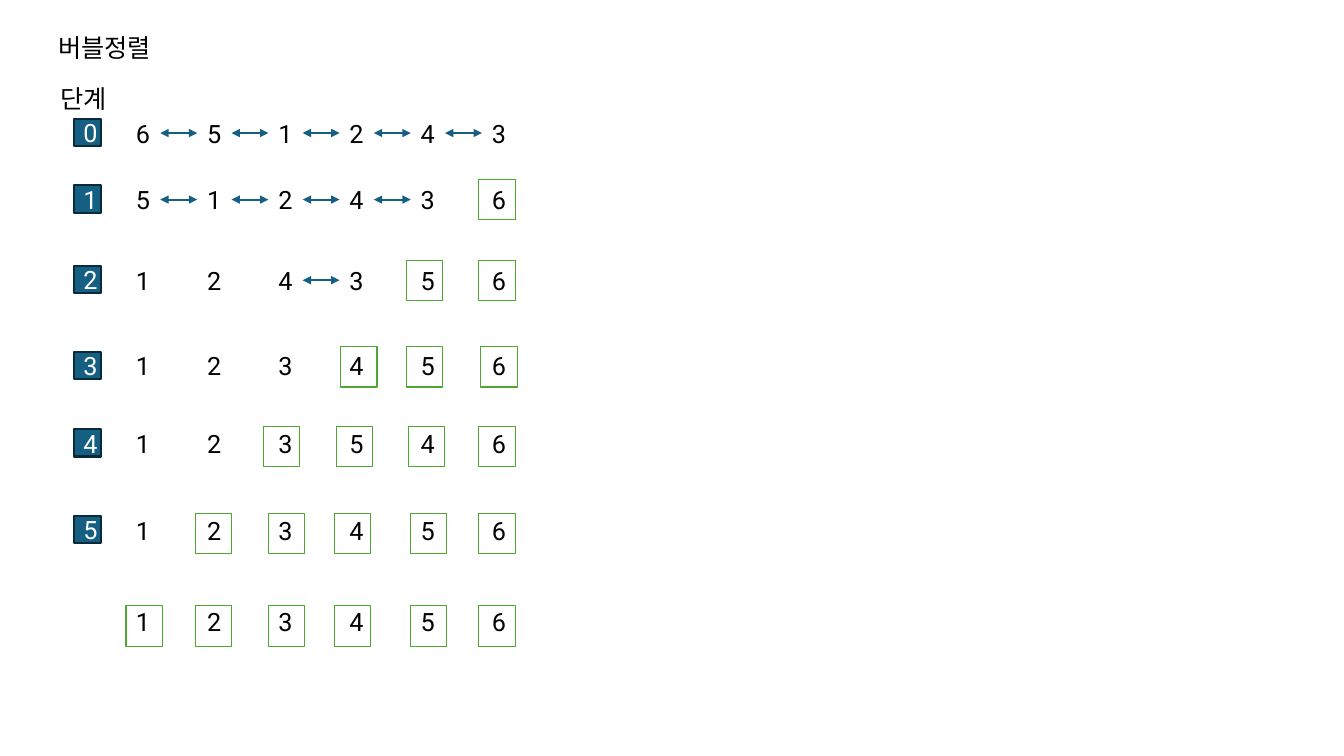
from lxml import etree
from pptx import Presentation
from pptx.dml.color import RGBColor
from pptx.enum import shapes, text
from pptx.oxml.ns import qn
from pptx.util import Inches, Pt

FONT, SIZE = "Roboto", 18
BLACK, WHITE = "000000", "FFFFFF"
BLUE, NAVY, GREEN = "156082", "092A39", "4EA72E"

HEADINGS = [("버블정렬", 0.48, 0.27, 1.21), ("단계", 0.5, 0.78, 0.71)]

# step, top, numbers, swapped pairs, box top, box lefts
STEPS = [
    ("0", 1.12, "651243", [0, 1, 2, 3, 4], 0, []),
    ("1", 1.78, "512436", [0, 1, 2, 3], 1.78, [4.75]),
    ("2", 2.58, "124356", [2], 2.58, [4.03, 4.75]),
    ("3", 3.43, "123456", [], 3.44, [3.38, 4.03, 4.77]),
    ("4", 4.2, "123546", [], 4.23, [2.61, 3.34, 4.05, 4.75]),
    ("5", 5.06, "123456", [], 5.09, [1.94, 2.66, 3.32, 4.07, 4.75]),
    ("", 5.97, "123456", [], 6.01, [1.25, 1.94, 2.66, 3.32, 4.07, 4.75]),
]

FIRST_X, LAST_X = 1.25, 4.78
PITCH = (LAST_X - FIRST_X) / 5
NUMBER_W, ROW_H, BOX_W = 0.34, 0.4, 0.36
BADGE_X, BADGE_DROP, BADGE = 0.73, 0.06, 0.27


def color(value):
    return RGBColor.from_string(value)


def add_run(tf, words, ink):
    p = tf.paragraphs[0]
    r = p.add_run()
    r.text = words
    r.font.name = FONT
    r.font.size = Pt(SIZE)
    r.font.color.rgb = color(ink)
    return p


def add_label(s, words, x, y, w):
    sp = s.shapes.add_textbox(Inches(x), Inches(y), Inches(w), Inches(ROW_H))
    tf = sp.text_frame
    tf.word_wrap = False
    tf.auto_size = text.MSO_AUTO_SIZE.SHAPE_TO_FIT_TEXT
    add_run(tf, words, BLACK)


def add_box(s, x, y, w, h, line, weight, fill=None):
    sp = s.shapes.add_shape(shapes.MSO_SHAPE.RECTANGLE,
                            Inches(x), Inches(y), Inches(w), Inches(h))
    sp.shadow.inherit = False
    if fill:
        sp.fill.solid()
        sp.fill.fore_color.rgb = color(fill)
    else:
        sp.fill.background()
    sp.line.color.rgb = color(line)
    sp.line.width = Pt(weight)
    return sp


def add_badge(s, step, y):
    sp = add_box(s, BADGE_X, y, BADGE, BADGE, NAVY, 1.5, BLUE)
    tf = sp.text_frame
    tf.word_wrap = True
    tf.vertical_anchor = text.MSO_ANCHOR.MIDDLE
    add_run(tf, step, WHITE).alignment = text.PP_ALIGN.CENTER


def add_swap(s, x1, x2, y):
    c = s.shapes.add_connector(shapes.MSO_CONNECTOR.STRAIGHT,
                               Inches(x1), Inches(y), Inches(x2), Inches(y))
    c.line.color.rgb = color(BLUE)
    c.line.width = Pt(1.5)
    ln = c.line._get_or_add_ln()
    for end in ("a:headEnd", "a:tailEnd"):
        etree.SubElement(ln, qn(end), type="triangle")
    etree.SubElement(c._element.spPr, qn("a:effectLst"))


def main():
    prs = Presentation()
    prs.slide_width, prs.slide_height = Inches(13.33), Inches(7.5)
    s = prs.slides.add_slide(prs.slide_layouts[6])

    for words, x, y, w in HEADINGS:
        add_label(s, words, x, y, w)

    columns = [FIRST_X + i * PITCH for i in range(6)]
    for step, top, numbers, swaps, box_top, box_lefts in STEPS:
        if step:
            add_badge(s, step, top + BADGE_DROP)
        for x, number in zip(columns, numbers):
            add_label(s, number, x, top, NUMBER_W)
        for i in swaps:
            add_swap(s, columns[i] + NUMBER_W, columns[i + 1], top + ROW_H / 2)
        for x in box_lefts:
            add_box(s, x, box_top, BOX_W, ROW_H, GREEN, 0.75)

    prs.save("out.pptx")


if __name__ == "__main__":
    main()
